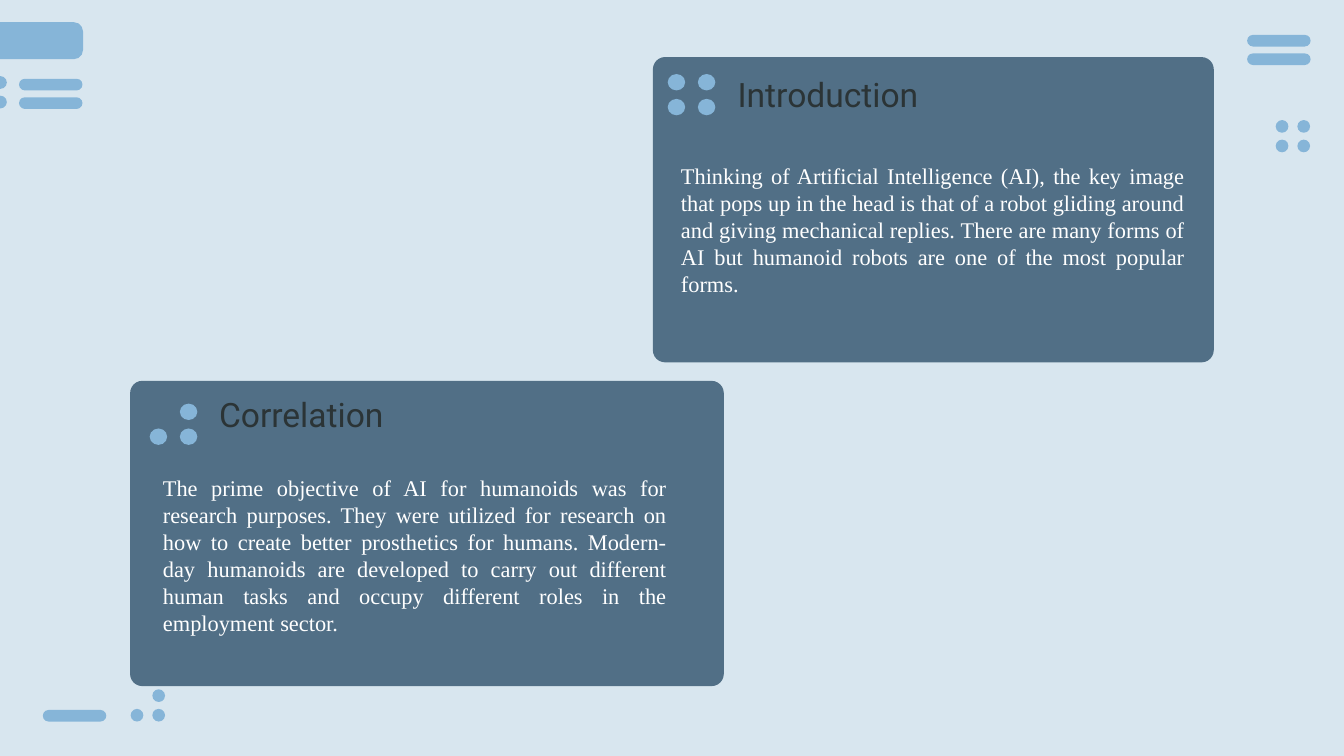
from pptx import Presentation, util as u
from pptx.dml import color
from pptx.enum import shapes, text

SHAPE = shapes.MSO_SHAPE
SKY, SLATE, PALE, INK, WHITE = "86B5D8", "516F86", "D8E6EF", "2B3436", "FFFFFF"
SMALL = (0.24, 0.24, 0.41, 0.37)  # dot width, height, step across, step down
LARGE = (0.33, 0.31, 0.57, 0.47)


def tint(code):
    return color.RGBColor.from_string(code)


def paint(fill, code):
    fill.solid()
    fill.fore_color.rgb = tint(code)


class Deck:
    def __init__(self):
        self.show = Presentation()
        self.show.slide_width, self.show.slide_height = u.Cm(25.4), u.Cm(14.29)
        self.slide = self.show.slides.add_slide(self.show.slide_layouts[6])
        paint(self.slide.background.fill, PALE)

    def shape(self, kind, box, code, curve=None):
        item = self.slide.shapes.add_shape(kind, *map(u.Cm, box))
        item.shadow.inherit = False
        paint(item.fill, code)
        item.line.fill.background()
        if curve is not None:
            item.adjustments[0] = curve

    def bars(self, left, top, count=1):
        for row in range(count):
            box = (left, top + row * 0.35, 1.2, 0.22)
            self.shape(SHAPE.ROUNDED_RECTANGLE, box, SKY, 0.5)

    def dots(self, left, top, size, cells):
        """Draw dots at the given (column, row) cells."""
        wide, high, across, down = size
        for col, row in cells:
            box = (left + col * across, top + row * down, wide, high)
            self.shape(SHAPE.OVAL, box, SKY)

    def words(self, box, copy, face, size, code):
        """Add a text box and return its paragraph."""
        frame = self.slide.shapes.add_textbox(*map(u.Cm, box)).text_frame
        frame.word_wrap = True
        frame.margin_left = frame.margin_right = u.Cm(0.25)
        frame.margin_top = frame.margin_bottom = u.Cm(0.25)
        frame.text = copy
        part = frame.paragraphs[0]
        font = part.runs[0].font
        font.name, font.size = face, u.Pt(size)
        font.color.rgb = tint(code)
        return part

    def label(self, left, top, copy):
        self.words((left, top, 5.1, 1.27), copy, "Roboto", 18, INK)

    def body(self, left, top, high, copy):
        part = self.words((left, top, 10.03, high), copy,
                          "Times New Roman", 12, WHITE)
        part.alignment = text.PP_ALIGN.JUSTIFY
        part.line_spacing = u.Pt(14.4)


def main():
    deck = Deck()
    square = [(0, 0), (1, 0), (0, 1), (1, 1)]
    corner = square[1:]

    # Trim along the slide edges
    deck.dots(-0.11, 1.44, SMALL, [(0, 0), (0, 1)])
    deck.shape(SHAPE.ROUNDED_RECTANGLE, (-0.56, 0.42, 2.13, 0.7), SKY, 0.25)
    deck.bars(0.36, 1.49, 2)
    deck.dots(24.11, 2.27, SMALL, square)
    deck.bars(0.81, 13.42)
    deck.dots(2.47, 13.03, SMALL, corner)
    deck.bars(23.57, 0.66, 2)

    # Cards
    for box in ((2.46, 7.2, 11.22, 5.77), (12.34, 1.08, 10.6, 5.77)):
        deck.shape(SHAPE.ROUNDED_RECTANGLE, box, SLATE, 0.04)

    deck.dots(12.62, 1.4, LARGE, square)
    deck.label(13.69, 1.14, "Introduction")
    deck.body(12.62, 2.82, 3.07, (
        "Thinking of Artificial Intelligence (AI), the key image that pops up "
        "in the head is that of a robot gliding around and giving mechanical "
        "replies. There are many forms of AI but humanoid robots are one of "
        "the most popular forms."))

    deck.dots(2.83, 7.63, LARGE, corner)
    deck.label(3.89, 7.2, "Correlation")
    deck.body(2.83, 8.72, 3.58, (
        "The prime objective of AI for humanoids was for research purposes. "
        "They were utilized for research on how to create better prosthetics "
        "for humans. Modern-day humanoids are developed to carry out different "
        "human tasks and occupy different roles in the employment sector."))

    deck.show.save("out.pptx")


if __name__ == "__main__":
    main()
